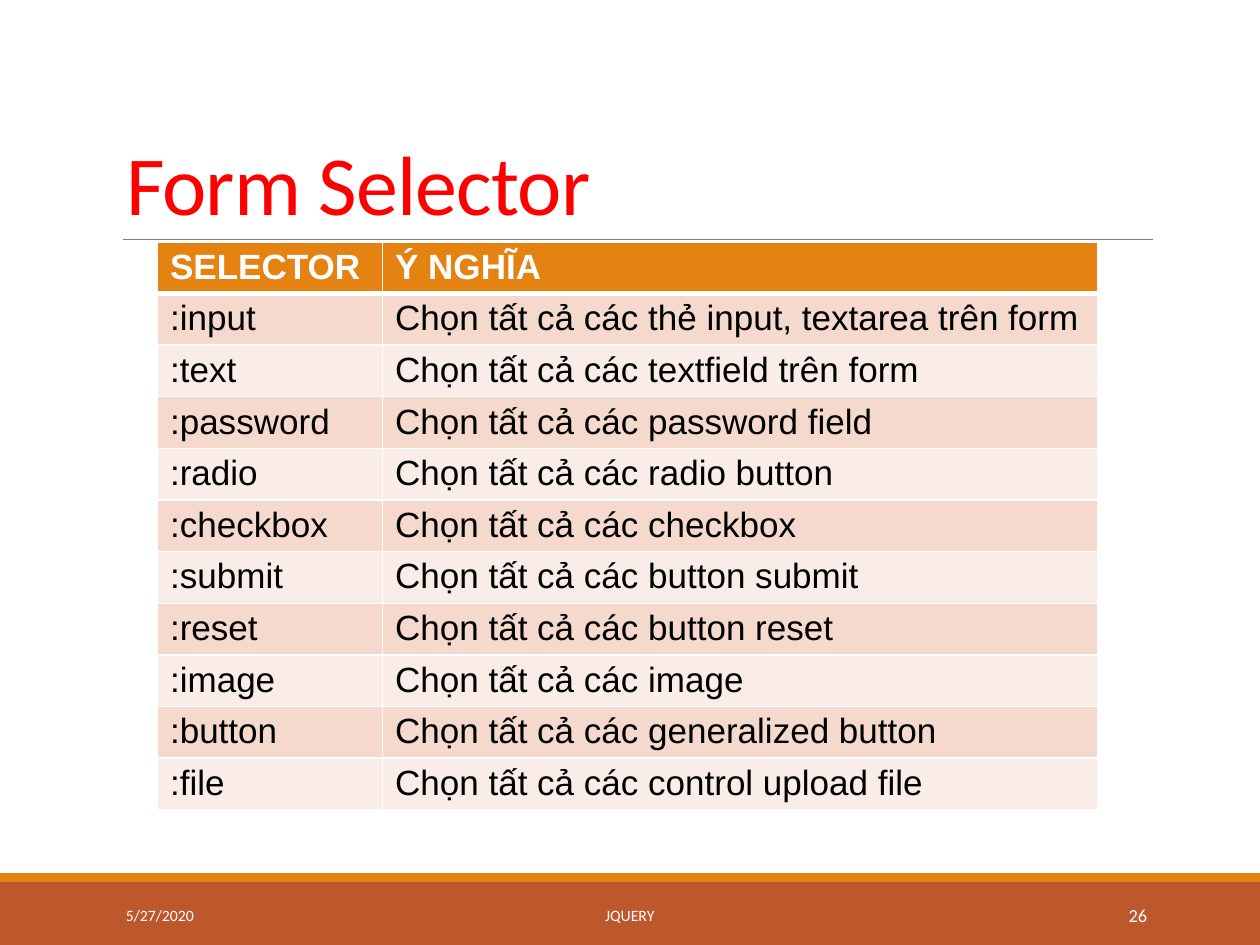
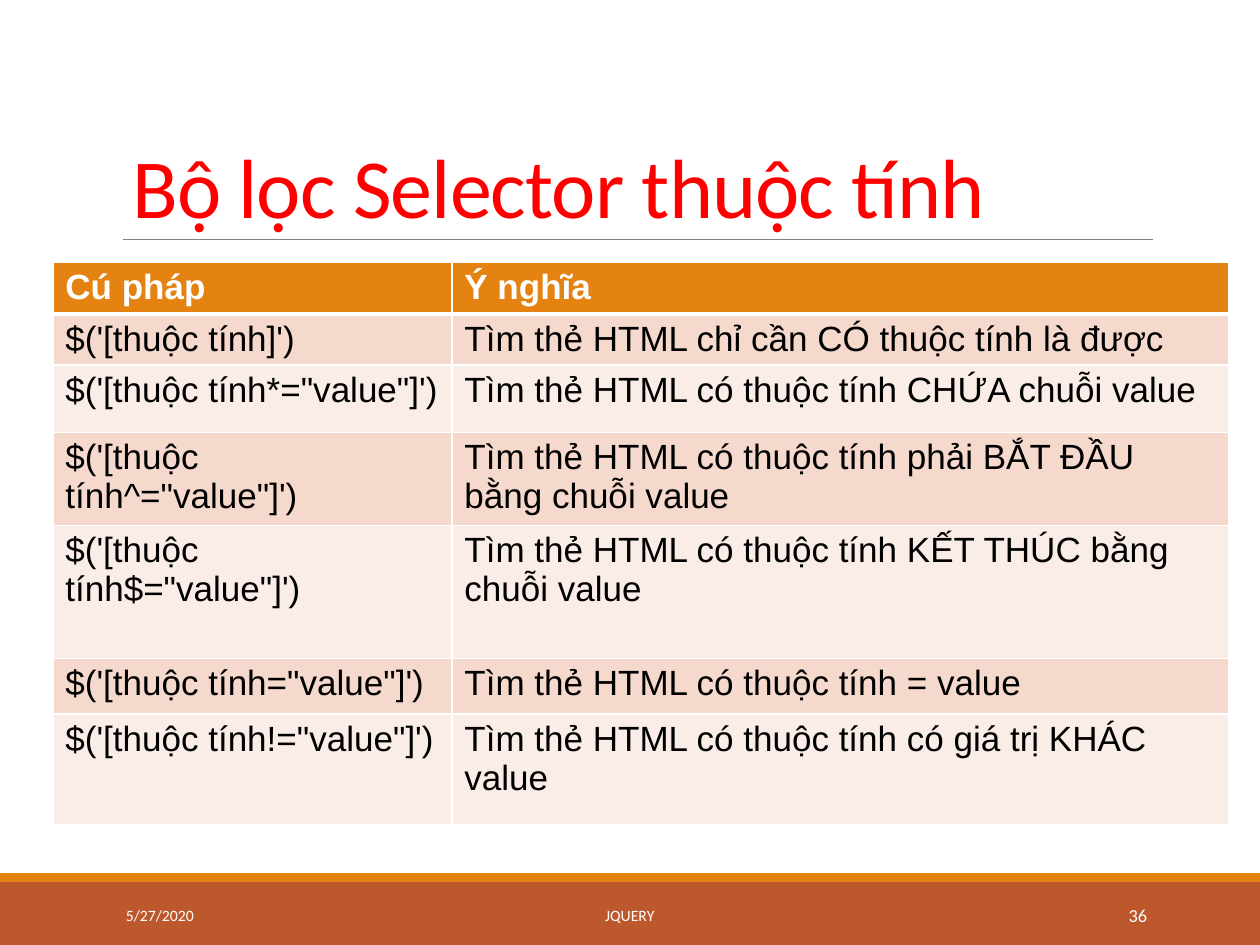
from lxml.etree import SubElement as Sub
from pptx import Presentation
from pptx.dml.color import RGBColor
from pptx.enum.shapes import MSO_CONNECTOR as Line, MSO_SHAPE as Shape
from pptx.enum.text import MSO_ANCHOR as Anchor, MSO_AUTO_SIZE as Fit, PP_ALIGN as Align
from pptx.oxml.ns import qn
from pptx.util import Pt

WIDE, HIGH = 720, 540
DATE, TOPIC = "5/27/2020", "JQUERY"

FORMS = [
    ("SELECTOR", "Ý NGHĨA"),
    (":input", "Chọn tất cả các thẻ input, textarea trên form"),
    (":text", "Chọn tất cả các textfield trên form"),
    (":password", "Chọn tất cả các password field"),
    (":radio", "Chọn tất cả các radio button"),
    (":checkbox", "Chọn tất cả các checkbox"),
    (":submit", "Chọn tất cả các button submit"),
    (":reset", "Chọn tất cả các button reset"),
    (":image", "Chọn tất cả các image"),
    (":button", "Chọn tất cả các generalized button"),
    (":file", "Chọn tất cả các control upload file"),
]

FILTERS = [
    ("Cú pháp", "Ý nghĩa"),
    ("$('[thuộc tính]')", "Tìm thẻ HTML chỉ cần CÓ thuộc tính là được"),
    ("$('[thuộc tính*=\"value\"]')", "Tìm thẻ HTML có thuộc tính CHỨA chuỗi value"),
    ("$('[thuộc tính^=\"value\"]')",
     "Tìm thẻ HTML có thuộc tính phải BẮT ĐẦU bằng chuỗi value"),
    ("$('[thuộc tính$=\"value\"]')",
     "Tìm thẻ HTML có thuộc tính KẾT THÚC bằng chuỗi value"),
    ("$('[thuộc tính=\"value\"]')", "Tìm thẻ HTML có thuộc tính = value"),
    ("$('[thuộc tính!=\"value\"]')",
     "Tìm thẻ HTML có thuộc tính có giá trị KHÁC value"),
]


def color(code):
    return RGBColor.from_string(code)


def apply(item, values):
    for name, value in values.items():
        setattr(item, name, value)


class Deck:
    rust, gold, red = "BD582C", "E48312", "FF0000"
    white, black, gray = "FFFFFF", "000000", "808080"
    bands = ("FAEDE7", "F5D9CC")
    head, body = "Calibri", "Arial"

    def __init__(self):
        self.show = Presentation()
        apply(self.show, {"slide_width": Pt(WIDE), "slide_height": Pt(HIGH)})
        self.slide = None

    def page(self, title, left, top, number):
        self.slide = self.show.slides.add_slide(self.show.slide_layouts[5])
        self.bar(504, 36, self.rust)
        self.bar(499, 5, self.gold)
        self.rule(70.5, 659, 137)
        self.title(title, left, top)
        self.label(DATE, 64.8, 146, 9, Align.LEFT)
        self.label(TOPIC, 217.4, 285, 9, Align.CENTER)
        self.label(number, 584.6, 78, 10.5, Align.RIGHT)

    def bar(self, top, high, fill):
        bar = self.slide.shapes.add_shape(
            Shape.RECTANGLE, 0, Pt(top), Pt(WIDE), Pt(high))
        bar.shadow.inherit = False
        bar.fill.solid()
        bar.fill.fore_color.rgb = color(fill)
        bar.line.fill.background()

    def rule(self, left, right, top):
        rule = self.slide.shapes.add_connector(
            Line.STRAIGHT, Pt(left), Pt(top), Pt(right), Pt(top))
        rule.line.width = Pt(0.5)
        rule.line.color.rgb = color(self.gray)
        Sub(rule._element.spPr, qn("a:effectLst"))

    def words(self, frame, text, size, face, tint, bold=False, align=Align.LEFT):
        par = frame.paragraphs[0]
        par.alignment = align
        run = par.add_run()
        run.text = text
        apply(run.font, {"size": Pt(size), "name": face, "bold": bold})
        run.font.color.rgb = color(tint)
        return par, run

    def title(self, text, left, top):
        box = self.slide.shapes.title
        apply(box, {"left": Pt(left), "top": Pt(top),
                    "width": Pt(594), "height": Pt(114.5)})
        apply(box.text_frame, {"word_wrap": True, "auto_size": Fit.NONE,
                               "vertical_anchor": Anchor.BOTTOM})
        par, run = self.words(box.text_frame, text, 48, self.head, self.red)
        par.line_spacing = 0.85
        run._r.get_or_add_rPr().set("spc", "-50")

    def label(self, text, left, wide, size, align):
        box = self.slide.shapes.add_textbox(Pt(left), Pt(508.5), Pt(wide), Pt(28.8))
        apply(box.text_frame, {"word_wrap": True, "vertical_anchor": Anchor.MIDDLE})
        self.words(box.text_frame, text, size, self.head, self.white, align=align)

    def edge(self, cell, side, width):
        line = Sub(cell._tc.get_or_add_tcPr(), qn(f"a:ln{side}"), w=str(Pt(width)))
        Sub(Sub(line, qn("a:solidFill")), qn("a:srgbClr"), val=self.white)

    def cell(self, cell, text, row):
        top = row == 0
        apply(cell, {"margin_top": Pt(3.2), "margin_bottom": Pt(2)})
        thick = {"T": 3 if row == 1 else 1, "B": 3 if top else 1}
        for side in "LRTB":
            self.edge(cell, side, thick.get(side, 1))
        cell.fill.solid()
        cell.fill.fore_color.rgb = color(self.gold if top else self.bands[row % 2])
        self.words(cell.text_frame, text, 20, self.body,
                   self.white if top else self.black, bold=top)

    def table(self, data, left, top, cols, rows):
        grid = self.slide.shapes.add_table(
            len(data), len(cols), Pt(left), Pt(top), Pt(sum(cols)), Pt(sum(rows))).table
        for col, wide in zip(grid.columns, cols):
            col.width = Pt(wide)
        for row, high in zip(grid.rows, rows):
            row.height = Pt(high)
        for row, texts in enumerate(data):
            for col, text in enumerate(texts):
                self.cell(grid.cell(row, col), text, row)


def main():
    deck = Deck()
    deck.page("Form Selector", 64.8, 22.3, "26")
    deck.table(FORMS, 90, 138.2, (128.6, 409), [29.52] * len(FORMS))
    deck.page("Bộ lọc Selector thuộc tính", 68.4, 23.8, "36")
    deck.table(FILTERS, 30.2, 150, (228, 444), (29.5, 29, 38.4, 52, 76, 31.7, 63.3))
    deck.show.save("out.pptx")


if __name__ == "__main__":
    main()
